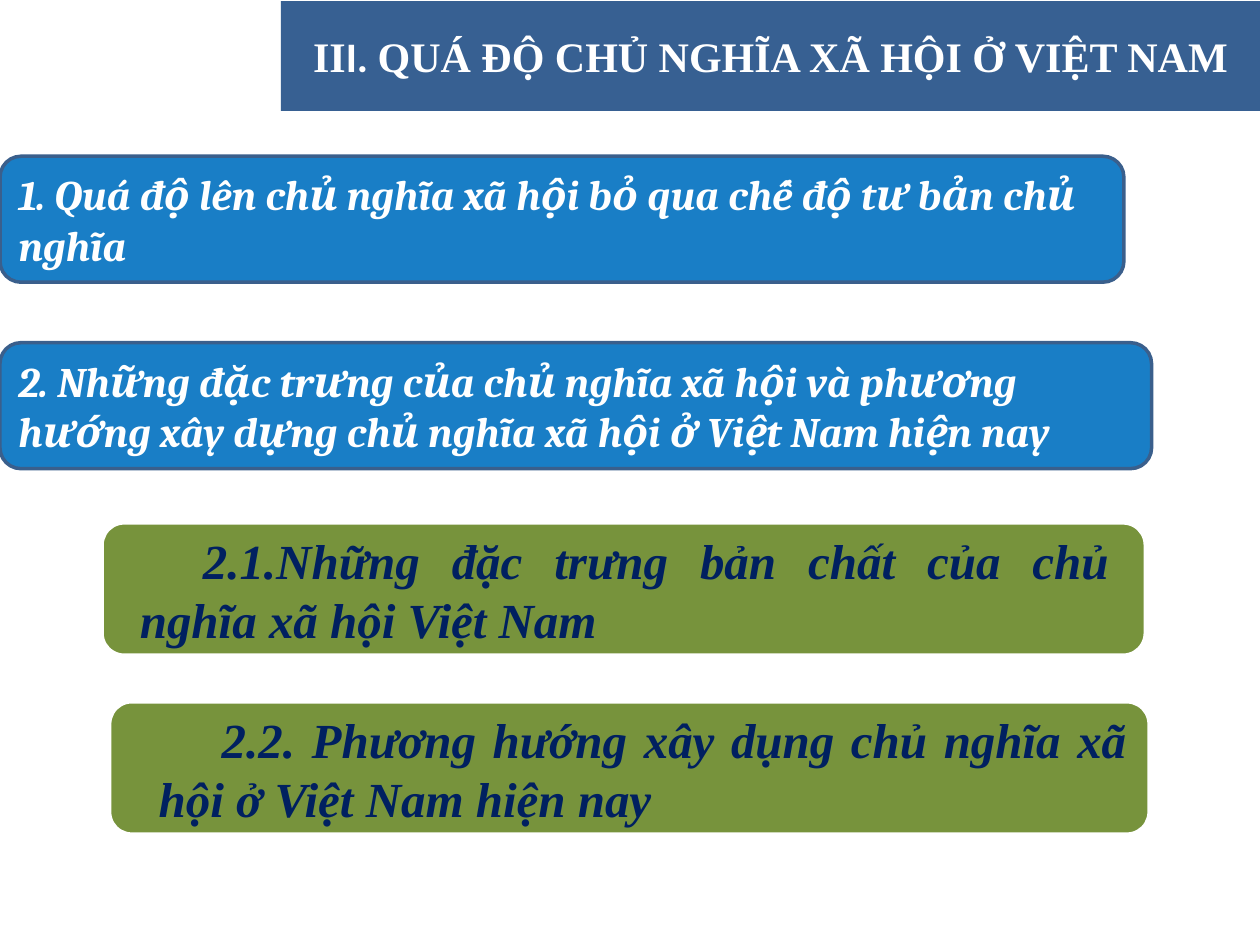
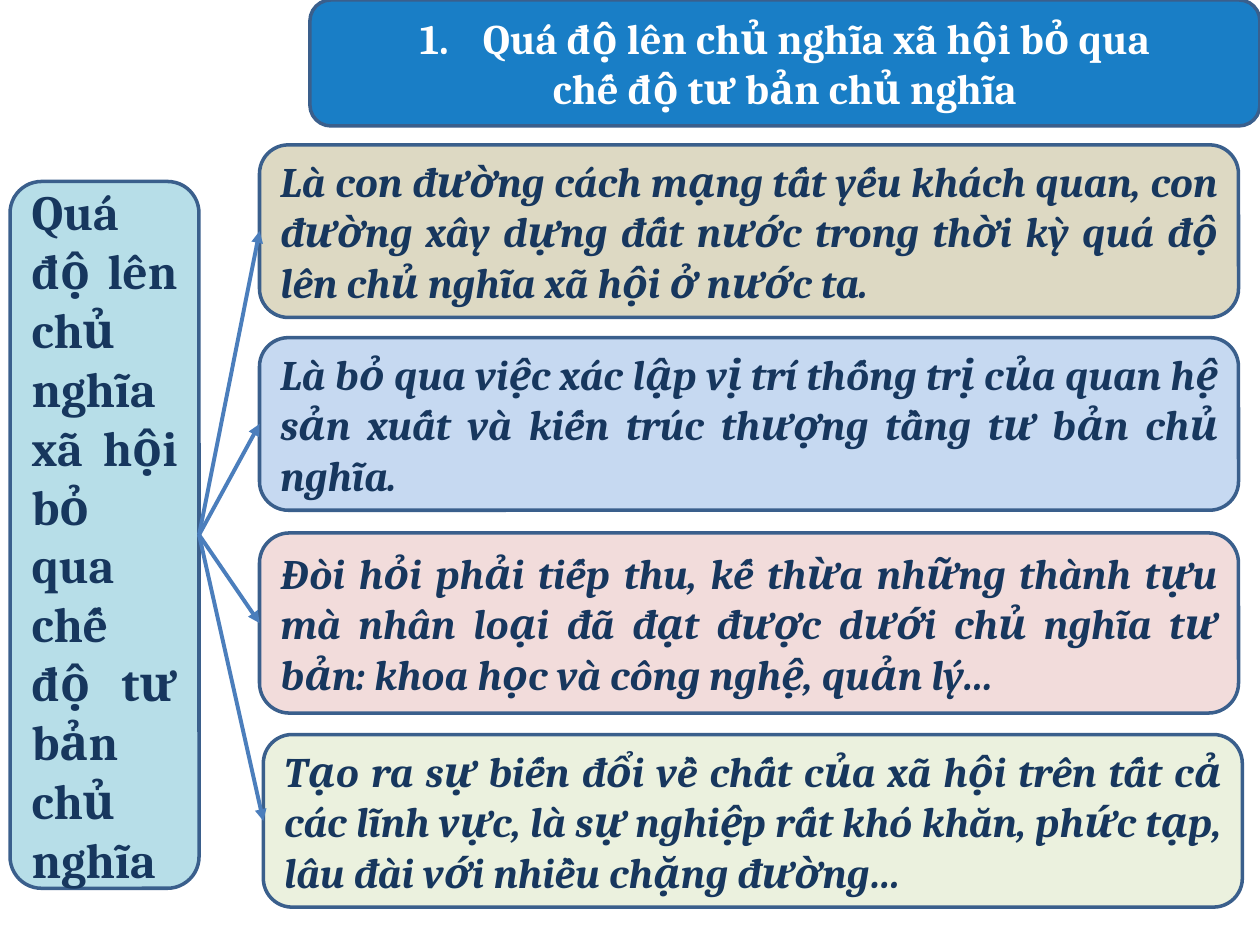
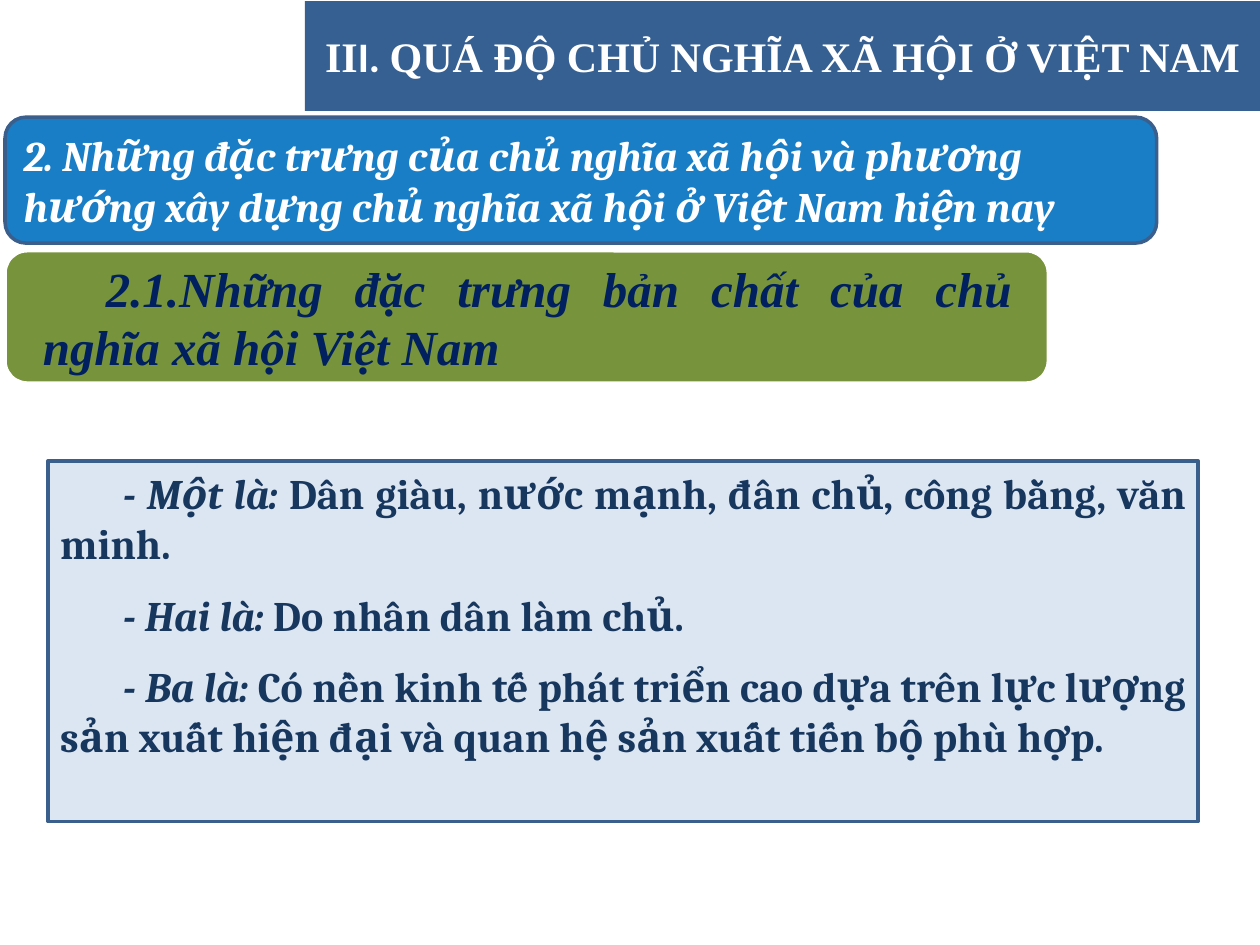
from lxml import etree
from pptx import Presentation
from pptx import util as u
from pptx.dml.color import RGBColor
from pptx.enum import shapes, text
from pptx.oxml import ns

COLORS = {
    "band": "376092",
    "heading": "0070C0",
    "border": "3A5F8C",
    "topic": "77933C",
    "topic_text": "002060",
    "white": "FFFFFF",
    "body_text": "17375E",
    "panel": "B7DEE8",
    "sand": "DDD9C3",
    "blue": "C6D9F1",
    "rose": "F2DCDB",
    "mint": "EBF1DE",
    "traits": "DCE6F2",
    "arrow": "4B7EBC",
}
SERIF = "Times New Roman"
BODY = "Cambria"
LEFT, CENTER, JUSTIFY = text.PP_ALIGN.LEFT, text.PP_ALIGN.CENTER, text.PP_ALIGN.JUSTIFY
RECT, ROUND = shapes.MSO_SHAPE.RECTANGLE, shapes.MSO_SHAPE.ROUNDED_RECTANGLE

HEADING_1 = "1. Quá độ lên chủ nghĩa xã hội bỏ qua chế độ tư bản chủ nghĩa"
HEADING_2 = (
    "2. Những đặc trưng của chủ nghĩa xã hội và phương hướng "
    "xây dựng chủ nghĩa xã hội ở Việt Nam hiện nay"
)
TOPIC_1 = "2.1.Những đặc trưng bản chất của chủ nghĩa xã hội Việt Nam"
TOPIC_2 = "2.2. Phương hướng xây dụng chủ nghĩa xã hội ở Việt Nam hiện nay"
PANEL = "Quá độ lên chủ nghĩa xã hội bỏ qua chế độ tư bản chủ nghĩa"

CARDS = [
    (2.06, 1.15, 1.37, "sand",
     "Là con đường cách mạng tất yếu khách quan, con đường xây dựng đất nước "
     "trong thời kỳ quá độ lên chủ nghĩa xã hội ở nước ta."),
    (2.06, 2.68, 1.37, "blue",
     "Là bỏ qua việc xác lập vị trí thống trị của quan hệ sản xuất "
     "và kiến trúc thượng tầng tư bản chủ nghĩa."),
    (2.06, 4.23, 1.43, "rose",
     "Đòi hỏi phải tiếp thu, kế thừa những thành tựu mà nhân loại đã đạt được "
     "dưới chủ nghĩa tư bản: khoa học và công nghệ, quản lý…"),
    (2.09, 5.83, 1.37, "mint",
     "Tạo ra sự biến đổi về chất của xã hội trên tất cả các lĩnh vực, "
     "là sự nghiệp rất khó khăn, phức tạp, lâu đài với nhiều chặng đường…"),
]
TRAITS = [
    ("- Một là:", " Dân giàu, nước mạnh, đân chủ, công bằng, văn minh."),
    ("- Hai là:", " Do nhân dân làm chủ."),
    ("- Ba là:", " Có nền kinh tế phát triển cao dựa trên lực lượng sản xuất "
                 "hiện đại và quan hệ sản xuất tiến bộ phù hợp."),
]


class Lesson:
    def __init__(self):
        self.deck = Presentation()
        self.deck.slide_width = u.Inches(10)
        self.deck.slide_height = u.Inches(7.5)
        self.page = None

    def new_page(self):
        self.page = self.deck.slides.add_slide(self.deck.slide_layouts[6])

    def shape(self, kind, place, fill, line=None, parent=None):
        owner = parent or self.page
        box = owner.shapes.add_shape(kind, *map(u.Inches, place))
        box.shadow.inherit = False
        box.fill.solid()
        box.fill.fore_color.rgb = RGBColor.from_string(COLORS[fill])
        if line:
            box.line.color.rgb = RGBColor.from_string(COLORS[line])
            box.line.width = u.Pt(2)
        else:
            box.line.fill.background()
        return box

    def style(self, span, color, size=24, font=BODY, italic=False):
        span.font.name = font
        span.font.size = u.Pt(size)
        span.font.bold = True
        span.font.italic = italic
        span.font.color.rgb = RGBColor.from_string(COLORS[color])

    def put_text(self, box, words, color, align=LEFT, **look):
        frame = box.text_frame
        frame.word_wrap = True
        frame.vertical_anchor = text.MSO_ANCHOR.MIDDLE
        frame.text = words
        for para in frame.paragraphs:
            para.alignment = align
            for span in para.runs:
                self.style(span, color, **look)

    def indent(self, para, margin, first):
        properties = para._p.get_or_add_pPr()
        properties.set("marL", str(u.Inches(margin)))
        properties.set("indent", str(u.Inches(first)))
        return properties

    def band(self, left):
        box = self.shape(RECT, (left, 0.01, 10 - left, 0.87), "band")
        frame = box.text_frame
        frame.word_wrap = True
        frame.vertical_anchor = text.MSO_ANCHOR.MIDDLE
        para = frame.paragraphs[0]
        para.alignment = CENTER
        for words, font in (
            ("II", SERIF),
            ("I. ", "Calibri"),
            ("QUÁ ĐỘ CHỦ NGHĨA XÃ HỘI Ở VIỆT NAM", SERIF),
        ):
            span = para.add_run()
            span.text = words
            self.style(span, "white", font=font)

    def heading(self, left, top, width, words, align=LEFT, italic=True):
        box = self.shape(ROUND, (left, top, width, 1), "heading", "border")
        color = box._element.spPr.find(ns.qn("a:solidFill")).find(ns.qn("a:srgbClr"))
        etree.SubElement(color, ns.qn("a:alpha")).set("val", "90000")
        self.put_text(box, words, "white", align, italic=italic)
        return box

    def number(self, para):
        properties = self.indent(para, 0.5, -0.5)
        etree.SubElement(properties, ns.qn("a:buAutoNum")).set("type", "arabicPeriod")

    def topic(self, left, top, width, label_left, label_width, words):
        group = self.page.shapes.add_group_shape()
        self.shape(ROUND, (left, top, width, 1.05), "topic", "white", group)
        label = group.shapes.add_textbox(
            *map(u.Inches, (label_left, top + 0.05, label_width, 0.95)))
        frame = label.text_frame
        frame.margin_left = frame.margin_right = u.Inches(0.24)
        frame.margin_top = frame.margin_bottom = 0
        self.put_text(label, words, "topic_text", JUSTIFY, size=28, font=SERIF, italic=True)
        para = frame.paragraphs[0]
        self.indent(para, 0, 0.5)
        para.space_after = u.Pt(6)

    def card(self, place, fill, words, **look):
        box = self.shape(ROUND, place, fill, "border")
        self.put_text(box, words, "body_text", JUSTIFY, **look)
        return box

    def arrow(self, source, target):
        line = self.page.shapes.add_connector(shapes.MSO_CONNECTOR.STRAIGHT, 0, 0, 0, 0)
        line.begin_connect(source, 3)
        line.end_connect(target, 1)
        line.line.color.rgb = RGBColor.from_string(COLORS["arrow"])
        line.line.width = u.Pt(2.25)
        properties = line._element.spPr
        outline = properties.find(ns.qn("a:ln"))
        etree.SubElement(outline, ns.qn("a:tailEnd")).set("type", "triangle")
        etree.SubElement(properties, ns.qn("a:effectLst"))

    def traits(self, place, items):
        box = self.shape(RECT, place, "traits", "border")
        frame = box.text_frame
        frame.word_wrap = True
        frame.vertical_anchor = text.MSO_ANCHOR.TOP
        for index, parts in enumerate(items):
            para = frame.add_paragraph() if index else frame.paragraphs[0]
            para.alignment = JUSTIFY
            self.indent(para, 0, 0.5)
            if index:
                para.space_before = u.Pt(6)
            para.space_after = u.Pt(6)
            for words, italic in zip(parts, (True, False)):
                span = para.add_run()
                span.text = words
                self.style(span, "body_text", italic=italic)


def main():
    lesson = Lesson()

    lesson.new_page()
    lesson.band(2.23)
    lesson.heading(0, 1.24, 8.92, HEADING_1)
    lesson.heading(0, 2.72, 9.14, HEADING_2)
    lesson.topic(0.81, 4.15, 8.28, 0.87, 8.17, TOPIC_1)
    lesson.topic(0.87, 5.57, 8.25, 1.02, 8.16, TOPIC_2)

    lesson.new_page()
    title = lesson.heading(
        2.46, 0, 7.54,
        "Quá độ lên chủ nghĩa xã hội bỏ qua\nchế độ tư bản chủ nghĩa",
        CENTER, italic=False)
    lesson.number(title.text_frame.paragraphs[0])
    panel = lesson.card((0.08, 1.44, 1.5, 5.61), "panel", PANEL, size=28)
    cards = [
        lesson.card((left, top, 7.77, height), fill, words, italic=True)
        for left, top, height, fill, words in CARDS
    ]
    for card in cards:
        lesson.arrow(panel, card)

    lesson.new_page()
    lesson.band(2.42)
    lesson.heading(0.04, 0.93, 9.14, HEADING_2)
    lesson.topic(0.04, 1.99, 8.28, 0.1, 8.17, TOPIC_1)
    lesson.traits((0.38, 3.66, 9.13, 2.86), TRAITS)

    lesson.deck.save("out.pptx")


if __name__ == "__main__":
    main()
